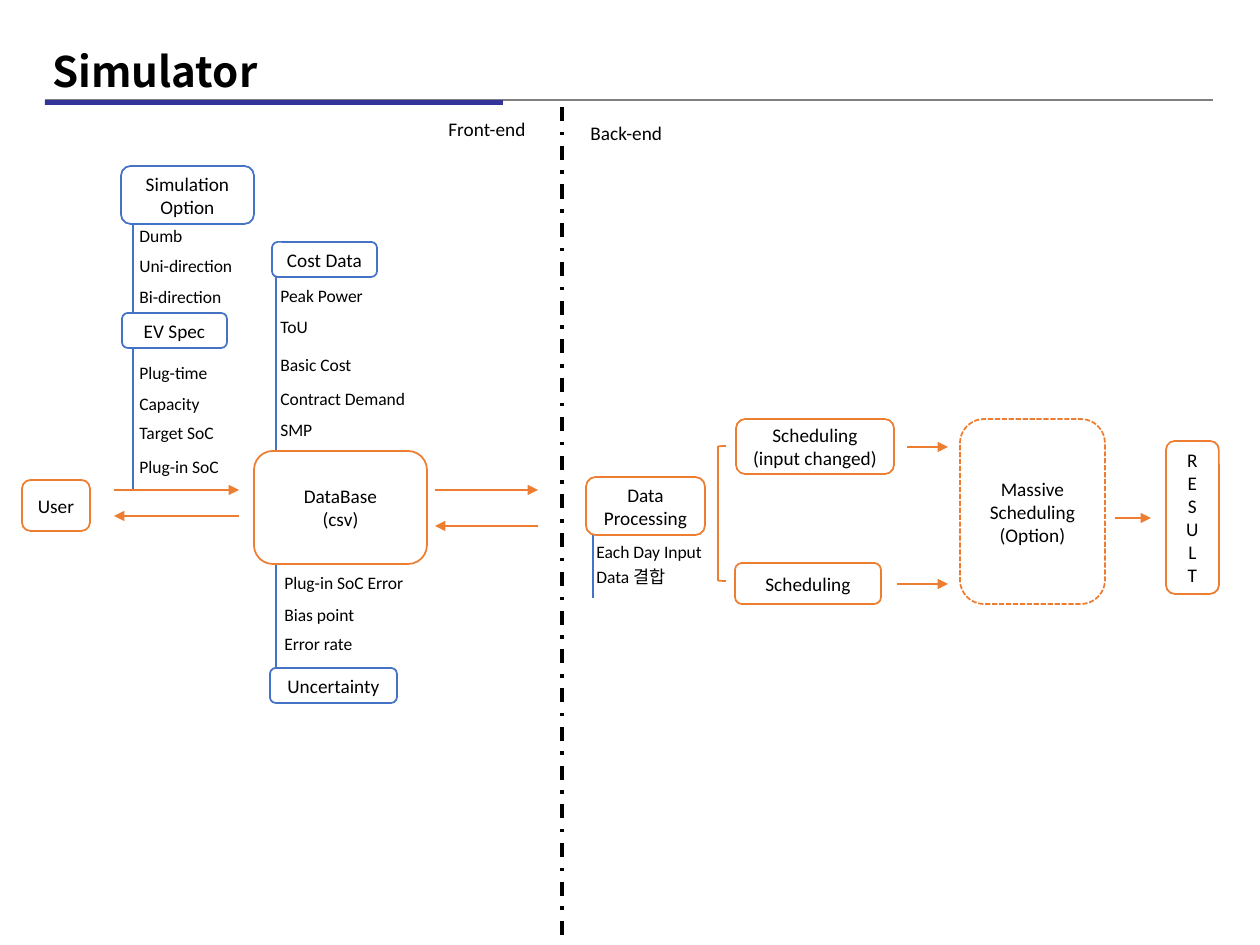
from lxml.etree import SubElement
from pptx import Presentation
from pptx.dml.color import RGBColor
from pptx.enum.dml import MSO_LINE
from pptx.enum.shapes import MSO_CONNECTOR, MSO_SHAPE
from pptx.enum.text import MSO_ANCHOR, PP_ALIGN
from pptx.oxml.ns import qn
from pptx.util import Pt

EMU_PER_PX = 914400 / 126
COLORS = {"black": "000000", "gray": "808080", "navy": "333399",
          "orange": "ED7D31", "blue": "4472C4"}
BOX_FRAME = {"word_wrap": True, "vertical_anchor": MSO_ANCHOR.MIDDLE,
             "margin_left": Pt(2), "margin_right": Pt(2)}
TITLE_FRAME = {"word_wrap": True, "vertical_anchor": MSO_ANCHOR.MIDDLE}
LABEL_FRAME = {"word_wrap": True}
TITLE_FONT = {"name": "Noto Sans CJK KR", "size": Pt(24), "bold": True}
BOX_FONT = {"name": "Calibri", "size": Pt(11)}
LABEL_FONT = {"name": "Calibri", "size": Pt(10)}


def px(*lengths):
    return [round(length * EMU_PER_PX) for length in lengths]


def color(name):
    return RGBColor.from_string(COLORS[name])


def set_values(target, values):
    for name, value in values.items():
        setattr(target, name, value)


class Diagram:
    def __init__(self, slide):
        self.slide = slide
        self.shapes = slide.shapes

    def add_text(self, shape, text, frame_values, font_values, para_values):
        frame = shape.text_frame
        set_values(frame, frame_values)
        for index, line in enumerate(text.split("\n")):
            para = frame.paragraphs[0] if index == 0 else frame.add_paragraph()
            set_values(para, para_values)
            span = para.add_run()
            span.text = line
            set_values(span.font, font_values)
            span.font.color.rgb = color("black")

    def outline(self, line, line_color, width=1, dash=None):
        line.color.rgb = color(line_color)
        line.width = Pt(width)
        if dash is not None:
            line.dash_style = dash

    def shape(self, kind, bounds, line_color=None, fill=None, dash=None):
        shape = self.shapes.add_shape(kind, *px(*bounds))
        shape.shadow.inherit = False
        if fill:
            shape.fill.solid()
            shape.fill.fore_color.rgb = color(fill)
        else:
            shape.fill.background()
        if line_color:
            self.outline(shape.line, line_color, dash=dash)
        else:
            shape.line.fill.background()
        return shape

    def box(self, text, bounds, line_color, dash=None):
        shape = self.shape(MSO_SHAPE.ROUNDED_RECTANGLE, bounds, line_color, dash=dash)
        self.add_text(shape, text, BOX_FRAME, BOX_FONT, {"alignment": PP_ALIGN.CENTER})

    def label(self, text, bounds, frame=LABEL_FRAME, font=LABEL_FONT, **para_values):
        self.add_text(self.shapes.add_textbox(*px(*bounds)), text, frame, font, para_values)

    def line(self, ends, line_color, width=1, dash=None, arrow=None):
        connector = self.shapes.add_connector(MSO_CONNECTOR.STRAIGHT, *px(*ends))
        self.outline(connector.line, line_color, width, dash)
        properties = connector._element.spPr
        if arrow:
            SubElement(properties.find(qn("a:ln")), qn(f"a:{arrow}"), type="triangle")
        SubElement(properties, qn("a:effectLst"))


def main():
    deck = Presentation()
    deck.slide_width, deck.slide_height = px(1260, 945)
    diagram = Diagram(deck.slides.add_slide(deck.slide_layouts[6]))

    # Header
    diagram.line((45, 100, 1213, 100), "gray")
    diagram.shape(MSO_SHAPE.RECTANGLE, (45, 100, 458, 5), fill="navy")
    diagram.label("Simulator", (40, 45, 1134, 58), TITLE_FRAME, TITLE_FONT,
                  line_spacing=0.9)

    # Front-end and back-end halves
    diagram.line((562, 107, 562, 949), "black", 2, MSO_LINE.DASH_DOT)
    diagram.label("Front-end", (436, 111, 108, 37), font=BOX_FONT)
    diagram.label("Back-end", (578, 115, 108, 37), font=BOX_FONT)

    # Stems that hold the label lists
    for x, top, bottom in ((133, 224, 313), (133, 348, 490), (276, 276, 451),
                           (276, 564, 667), (593, 535, 598)):
        diagram.line((x, bottom, x, top), "blue")

    # Input groups
    for text, bounds in (
        ("Simulation Option", (121, 166, 133, 58)),
        ("EV Spec", (122, 313, 105, 35)),
        ("Cost Data", (272, 242, 105, 35)),
        ("Uncertainty", (270, 668, 127, 35)),
    ):
        diagram.box(text, bounds, "blue")

    # Processing steps
    for text, bounds, dash in (
        ("User", (22, 480, 68, 51), None),
        ("DataBase\n(csv)", (254, 451, 173, 113), None),
        ("Data Processing", (586, 477, 119, 58), None),
        ("Scheduling\n(input changed)", (736, 419, 158, 55), None),
        ("Scheduling", (735, 563, 146, 41), None),
        ("Massive\nScheduling\n(Option)", (960, 419, 145, 185), MSO_LINE.SQUARE_DOT),
        ("\n".join("RESULT"), (1166, 441, 53, 153), None),
    ):
        diagram.box(text, bounds, "orange", dash)
    diagram.shape(MSO_SHAPE.LEFT_BRACKET, (718, 446, 8, 135), "orange")

    # Label lists: left edge, then text, top and width of each entry
    for left, entries in (
        (127, (("Dumb", 219, 82), ("Uni-direction", 249, 127),
               ("Bi-direction", 280, 122), ("Plug-time", 356, 102),
               ("Capacity", 387, 91), ("Target SoC", 416, 105),
               ("Plug-in SoC", 450, 108))),
        (268, (("Peak Power", 279, 125), ("ToU", 310, 57), ("Basic Cost", 348, 105),
               ("Contract Demand", 382, 156), ("SMP", 413, 60))),
        (272, (("Plug-in SoC Error", 566, 150), ("Bias point", 598, 108),
               ("Error rate", 627, 183))),
        (584, (("Each Day Input", 535, 135), ("Data 결합", 560, 122))),
    ):
        for text, top, width in entries:
            diagram.label(text, (left, top, width, 34))

    # Flow arrows
    for start, end, y, arrow in (
        (114, 239, 490, "tailEnd"), (114, 239, 516, "headEnd"),
        (435, 538, 490, "tailEnd"), (435, 538, 526, "headEnd"),
        (907, 948, 447, "tailEnd"), (897, 948, 584, "tailEnd"),
        (1115, 1151, 518, "tailEnd"),
    ):
        diagram.line((start, y, end, y), "orange", arrow=arrow)

    deck.save("out.pptx")


if __name__ == "__main__":
    main()
